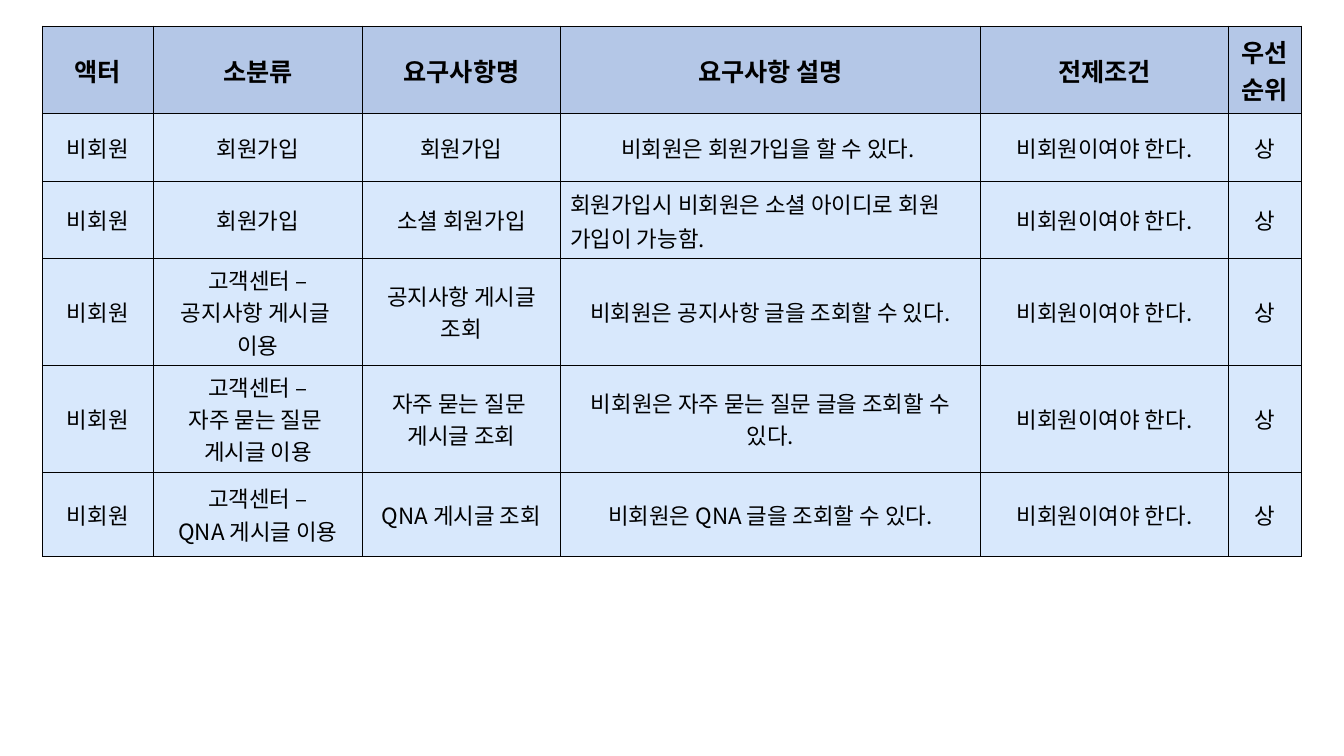
from dataclasses import dataclass

from lxml import etree
from pptx import Presentation
from pptx import util as u
from pptx.dml import color
from pptx.enum import text
from pptx.oxml import ns


@dataclass(frozen=True)
class Theme:
    font: str = "Noto Sans CJK KR"
    ink: str = "000000"
    head: str = "B4C7E7"
    body: str = "D8E8FC"
    big: int = 18
    small: int = 16
    line: int = 1


THEME = Theme()
WIDTHS = (2.79, 5.28, 4.98, 10.59, 6.25, 1.83)
HEIGHTS = (2.21, 1.7, 1.9, 1.83, 1.7, 2.11)
HEADS = ("액터", "소분류", "요구사항명", "요구사항 설명", "전제조건", "우선순위")
NEEDS = (
    ("회원가입", "회원가입", "비회원은 회원가입을 할 수 있다. "),
    ("회원가입", "소셜 회원가입", "회원가입시 비회원은 소셜 아이디로 회원 가입이 가능함."),
    ("고객센터 –\v공지사항 게시글 \n이용", "공지사항 게시글 조회",
     "비회원은 공지사항 글을 조회할 수 있다."),
    ("고객센터 –\v자주 묻는 질문 \n게시글 이용", "자주 묻는 질문  게시글 조회",
     "비회원은 자주 묻는 질문 글을 조회할 수 있다."),
    ("고객센터 –\vQNA 게시글 이용", "QNA 게시글 조회", "비회원은 QNA 글을 조회할 수 있다."),
)
LEFT_CELL = (2, 3)


def add_edges(cell):
    props = cell._tc.get_or_add_tcPr()
    for i, side in enumerate("LRTB"):
        line = etree.Element(ns.qn(f"a:ln{side}"), w=str(u.Pt(THEME.line)))
        fill = etree.SubElement(line, ns.qn("a:solidFill"))
        etree.SubElement(fill, ns.qn("a:srgbClr"), val=THEME.ink)
        props.insert(i, line)


def style_run(run, size, bold):
    font = run.font
    font.name = THEME.font
    font.size = u.Pt(size)
    font.bold = bold
    font.color.rgb = color.RGBColor.from_string(THEME.ink)
    east = etree.Element(ns.qn("a:ea"), typeface=THEME.font)
    run._r.rPr.find(ns.qn("a:latin")).addnext(east)


def fill_cell(cell, words, head, left):
    cell.fill.solid()
    shade = THEME.head if head else THEME.body
    cell.fill.fore_color.rgb = color.RGBColor.from_string(shade)
    add_edges(cell)
    cell.vertical_anchor = text.MSO_ANCHOR.MIDDLE
    cell.text_frame.text = words
    for para in cell.text_frame.paragraphs:
        para.alignment = text.PP_ALIGN.LEFT if left else text.PP_ALIGN.CENTER
        if left:
            para.line_spacing = 1.04
        for run in para.runs:
            style_run(run, THEME.big if head else THEME.small, head)


def add_grid(slide, rows):
    frame = slide.shapes.add_table(
        len(rows), len(WIDTHS), u.Cm(1.07), u.Cm(0.66),
        u.Cm(sum(WIDTHS)), u.Cm(sum(HEIGHTS)))
    table = frame.table
    for col, width in zip(table.columns, WIDTHS):
        col.width = u.Cm(width)
    for row, height in zip(table.rows, HEIGHTS):
        row.height = u.Cm(height)
    for r, row in enumerate(rows):
        for c, words in enumerate(row):
            fill_cell(table.cell(r, c), words, r == 0, (r, c) == LEFT_CELL)


def main():
    deck = Presentation()
    deck.slide_width = u.Cm(33.87)
    deck.slide_height = u.Cm(19.05)
    slide = deck.slides.add_slide(deck.slide_layouts[6])
    rows = [HEADS] + [("비회원", *need, "비회원이여야 한다.", "상") for need in NEEDS]
    add_grid(slide, rows)
    deck.save("out.pptx")


if __name__ == "__main__":
    main()
